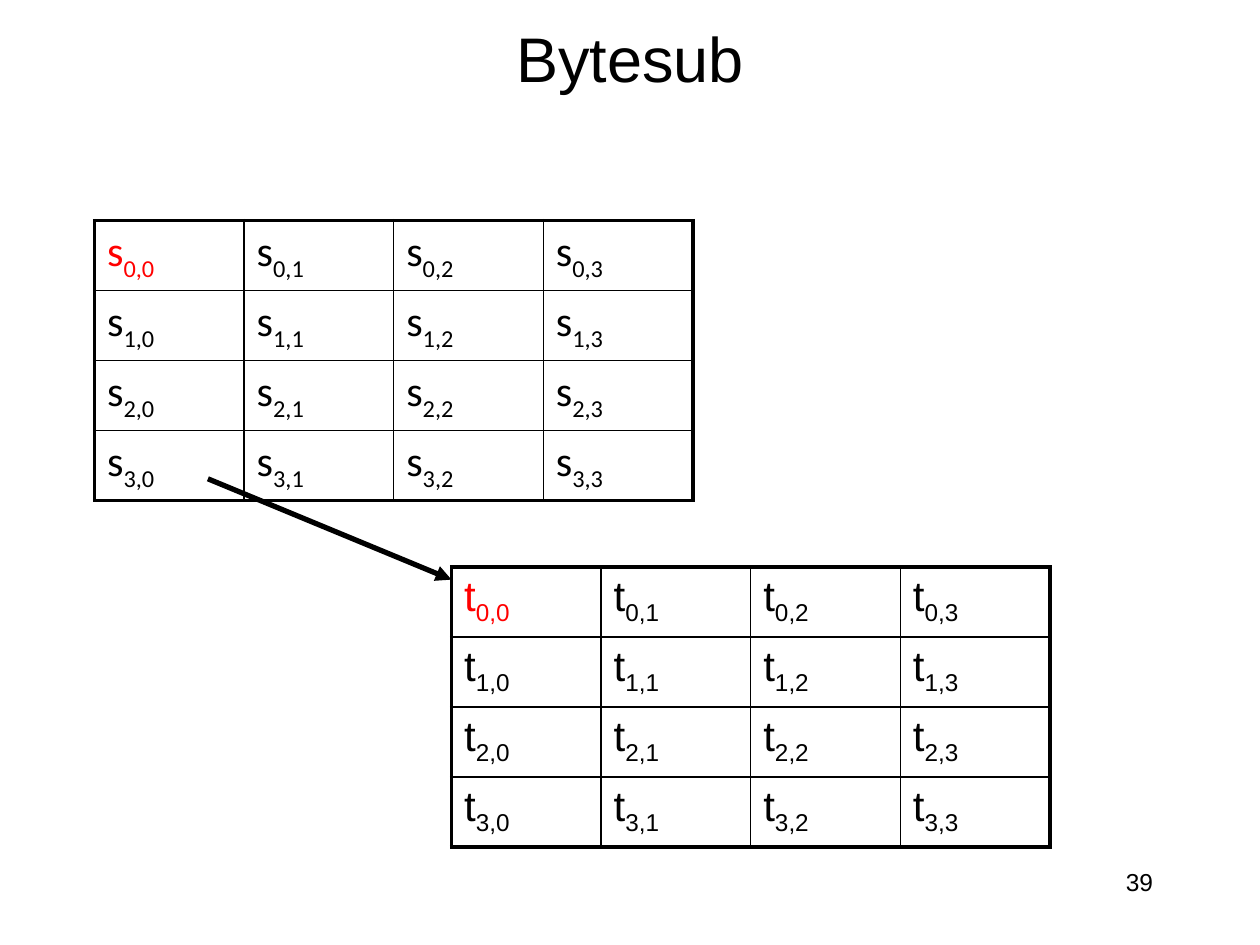
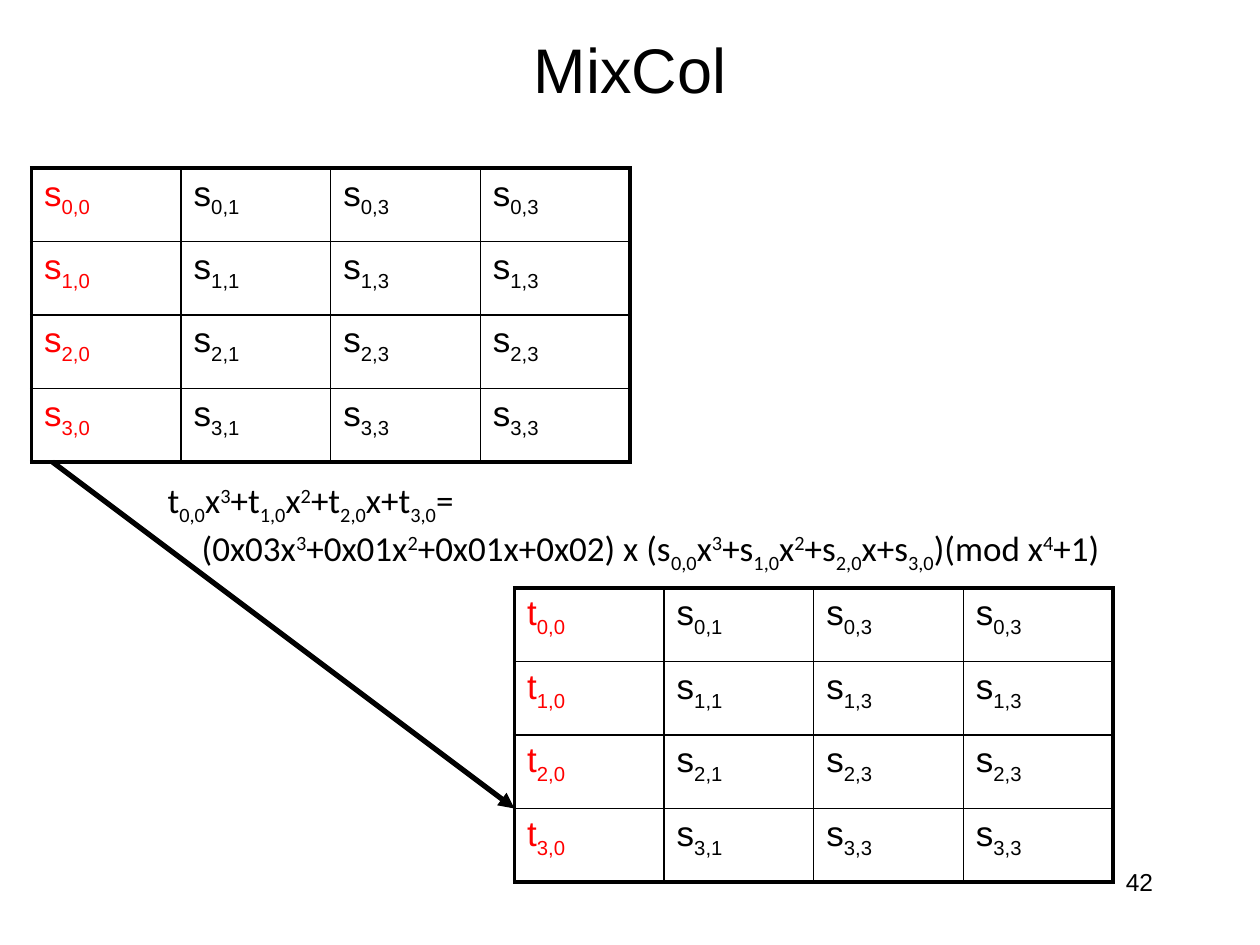
from lxml import etree
from pptx import Presentation
from pptx.dml.color import RGBColor
from pptx.enum.shapes import MSO_CONNECTOR
from pptx.enum.text import MSO_ANCHOR, MSO_AUTO_SIZE, PP_ALIGN
from pptx.oxml import parse_xml
from pptx.oxml.ns import nsdecls, qn
from pptx.util import Pt

LINE = MSO_CONNECTOR.STRAIGHT
MIDDLE = MSO_ANCHOR.MIDDLE
NO_FIT = MSO_AUTO_SIZE.NONE
CENTER, RIGHT = PP_ALIGN.CENTER, PP_ALIGN.RIGHT

BLACK, RED = "000000", "FF0000"
COL_W = 85.5
OUTER, INNER = 2.25, 1
BASELINES = {"_": "-25000", "^": "30000"}


def rgb(value):
    return RGBColor.from_string(value)


def add_text(p, marked, size, font, color=BLACK):
    """Add runs split at |; a leading _ lowers a run and ^ raises it."""
    for piece in marked.split("|"):
        r = p.add_run()
        r.text = piece.lstrip("_^")
        r.font.size, r.font.name = Pt(size), font
        r.font.color.rgb = rgb(color)
        if piece[0] in BASELINES:
            r._r.get_or_add_rPr().set("baseline", BASELINES[piece[0]])


# Each state: left, top, row height, first letter, other letter,
# column indices, number of red rows, text size, font
slides = [
    {"title": "Bytesub", "top": 0, "height": 66, "number": "39",
     "states": [(54, 126, 39.7, "s", "s", (0, 1, 2, 3), 1, 24, "Calibri"),
                (258, 324, 37.9, "t", "t", (0, 1, 2, 3), 1, 24, "Arial")],
     "arrow": (118.8, 273.6, 258, 331.2), "equation": []},
    {"title": "MixCol", "top": 12, "height": 54, "number": "42",
     "states": [(18, 96, 42, "s", "s", (0, 1, 3, 3), 4, 20, "Arial"),
                (294, 336, 42, "t", "s", (0, 1, 3, 3), 4, 20, "Arial")],
     "arrow": (30, 264, 294, 462),
     "equation": [
         (16.7, "t|_0,0|x|^3|+t|_1,0|x|^2|+t|_2,0|x+t|_3,0|="),
         (36.2, "(0x03x|^3|+0x01x|^2|+0x01x+0x02) x (s|_0,0|x|^3|+s|_1,0|x|^2"
                "|+s|_2,0|x+s|_3,0|)(mod x|^4|+1)")]},
]

prs = Presentation()
prs.slide_width, prs.slide_height = Pt(720), Pt(540)

for data in slides:
    s = prs.slides.add_slide(prs.slide_layouts[5])

    # Title
    sp = s.shapes.title
    sp.left, sp.top = Pt(54), Pt(data["top"])
    sp.width, sp.height = Pt(612), Pt(data["height"])
    tf = sp.text_frame
    tf.auto_size, tf.vertical_anchor = NO_FIT, MIDDLE
    tf.paragraphs[0].alignment = CENTER
    add_text(tf.paragraphs[0], data["title"], 36, "Arial")

    # Slide number
    tf = s.shapes.add_textbox(Pt(516), Pt(492), Pt(150), Pt(36)).text_frame
    tf.word_wrap = True
    tf.paragraphs[0].alignment = RIGHT
    add_text(tf.paragraphs[0], data["number"], 14, "Arial")

    # State matrices
    for left, top, row_h, first, other, indices, red_rows, size, font in data["states"]:
        table = s.shapes.add_table(4, 4, Pt(left), Pt(top), Pt(4 * COL_W), Pt(4 * row_h)).table
        table.first_row = table.horz_banding = False
        for i in range(4):
            table.columns[i].width = Pt(COL_W)
            table.rows[i].height = Pt(row_h)
        for row in range(4):
            for col, index in enumerate(indices):
                cell = table.cell(row, col)
                cell.fill.background()
                color = RED if col == 0 and row < red_rows else BLACK
                letter = first if col == 0 else other
                add_text(cell.text_frame.paragraphs[0], f"{letter}|_{row},{index}", size, font, color)
                # Heavy frame outside, thin rules inside
                edges = {"lnL": col == 0, "lnR": col == 3, "lnT": row == 0, "lnB": row == 3}
                for k, (tag, outside) in enumerate(edges.items()):
                    width = Pt(OUTER if outside else INNER)
                    cell._tc.get_or_add_tcPr().insert(k, parse_xml(
                        f'<a:{tag} {nsdecls("a")} w="{width}"><a:solidFill>'
                        f'<a:srgbClr val="{BLACK}"/></a:solidFill></a:{tag}>'))

    # Arrow between the matrices
    arrow = s.shapes.add_connector(LINE, *[Pt(v) for v in data["arrow"]])
    arrow.line.width = Pt(3)
    arrow.line.color.rgb = rgb(BLACK)
    etree.SubElement(arrow.line._get_or_add_ln(), qn("a:tailEnd"), type="triangle")
    etree.SubElement(arrow._element.spPr, qn("a:effectLst"))

    # Column equation
    if data["equation"]:
        tf = s.shapes.add_textbox(Pt(72), Pt(270), Pt(648), Pt(55.4)).text_frame
        tf.word_wrap = True
        for i, (indent, marked) in enumerate(data["equation"]):
            p = tf.add_paragraph() if i else tf.paragraphs[0]
            p._p.get_or_add_pPr().set("marL", str(Pt(indent)))
            add_text(p, marked, 20, "Calibri")

prs.save("out.pptx")
